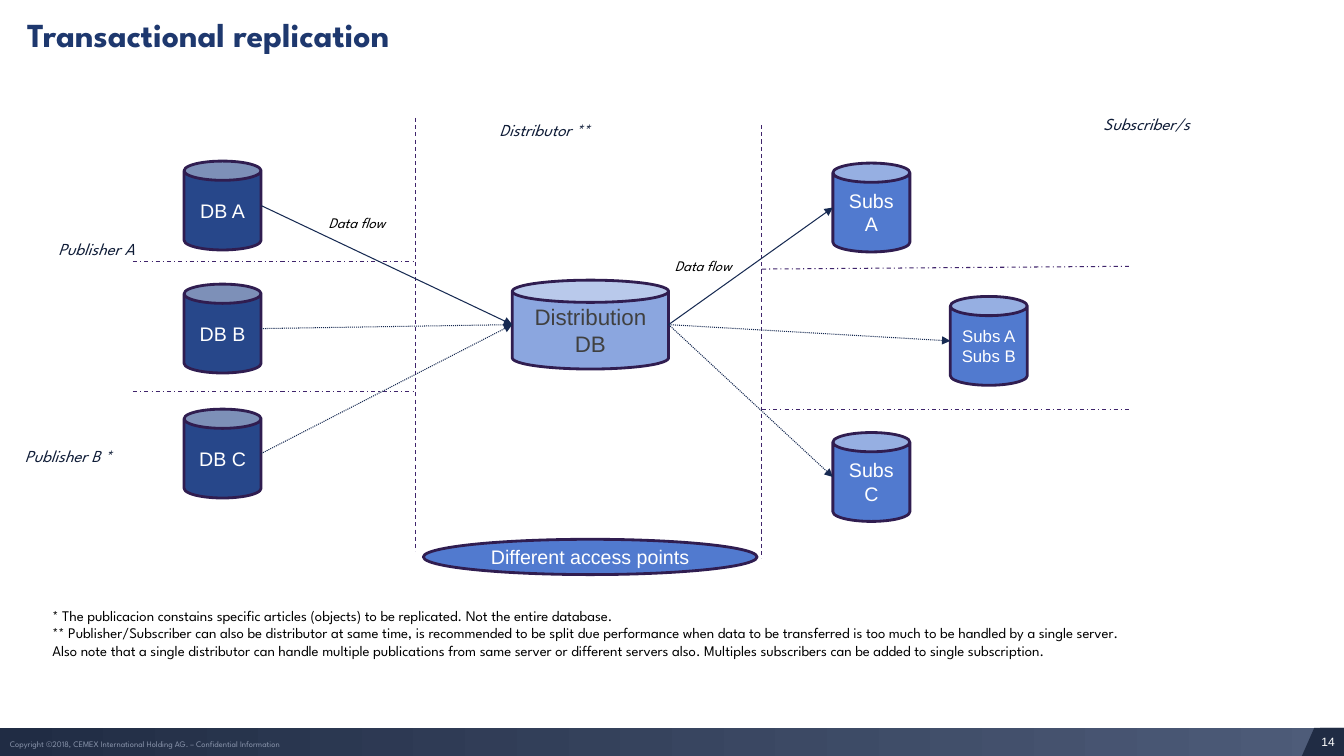
from lxml.etree import SubElement
from pptx import Presentation
from pptx.dml.color import RGBColor
from pptx.enum.dml import MSO_LINE
from pptx.enum.shapes import MSO_CONNECTOR, MSO_SHAPE
from pptx.enum.text import MSO_ANCHOR, PP_ALIGN
from pptx.oxml.ns import qn
from pptx.util import Cm, Pt

WHITE = RGBColor(0xFF, 0xFF, 0xFF)
BLACK = RGBColor(0x00, 0x00, 0x00)
GREY = RGBColor(0x40, 0x40, 0x40)
PALE = RGBColor(0x8A, 0x95, 0xAC)
DARK = RGBColor(0x20, 0x2C, 0x44)
SLATE = RGBColor(0x4E, 0x5C, 0x79)
TITLE = RGBColor(0x1E, 0x38, 0x6E)
LABEL = RGBColor(0x0F, 0x1C, 0x37)
NAVY = RGBColor(0x27, 0x47, 0x8A)
BLUE = RGBColor(0x51, 0x7A, 0xCF)
LIGHT = RGBColor(0x8B, 0xA6, 0xDF)
EDGE = RGBColor(0x30, 0x1D, 0x50)
SPLIT = RGBColor(0x3F, 0x24, 0x6B)
FLOW = RGBColor(0x17, 0x2A, 0x52)


def write(shape, text, size, color, face="League Spartan", bold=False,
          slant=False, align=PP_ALIGN.LEFT, anchor=MSO_ANCHOR.TOP):
    frame = shape.text_frame
    frame.word_wrap = True
    frame.vertical_anchor = anchor
    para = frame.paragraphs[0]
    para.text = text
    para.alignment = align
    for run in para.runs:
        font = run.font
        font.name, font.size, font.color.rgb = face, Pt(size), color
        font.bold, font.italic = bold, slant


def draw(x1, y1, x2, y2, color, dash=None):
    line = shapes.add_connector(MSO_CONNECTOR.STRAIGHT, x1, y1, x2, y2)
    line.line.width = Pt(0.75)
    line.line.color.rgb = color
    if dash:
        line.line.dash_style = dash
    SubElement(line._element.spPr, qn("a:effectLst"))
    return line


deck = Presentation()
deck.slide_width, deck.slide_height = Cm(33.87), Cm(19.05)
slide = deck.slides.add_slide(deck.slide_layouts[5])
shapes = slide.shapes

title = shapes.title
title.left, title.top, title.width, title.height = Cm(0.43), Cm(0.23), Cm(32), Cm(1.57)
write(title, "Transactional replication", 24, TITLE, bold=True)

for kind, left, width in [
    (MSO_SHAPE.RECTANGLE, 0, 33.87),
    (MSO_SHAPE.PARALLELOGRAM, 32.81, 1.06),
    (MSO_SHAPE.RECTANGLE, 33.27, 0.6),
]:
    bar = shapes.add_shape(kind, Cm(left), Cm(18.34), Cm(width), Cm(0.71))
    bar.shadow.inherit = False
    bar.line.fill.background()
    if left == 0:
        bar.fill.gradient()
        bar.fill.gradient_angle = 0
        for stop, color in zip(bar.fill.gradient_stops, (DARK, SLATE)):
            stop.color.rgb = color
    else:
        bar.fill.solid()
        bar.fill.fore_color.rgb = DARK
    if kind == MSO_SHAPE.PARALLELOGRAM:
        bar.adjustments[0] = 0.44

page = shapes.add_textbox(Cm(33.08), Cm(18.39), Cm(0.78), Cm(0.64))
page.text_frame.margin_left = page.text_frame.margin_right = 0
write(page, "14", 8.6, WHITE, face="Arial", align=PP_ALIGN.CENTER)

notes = """* The publicacion constains specific articles (objects) to be replicated. Not the entire database.
** Publisher/Subscriber can also be distributor at same time, is recommended to be split due performance when data to be transferred is too much to be handled by a single server.
Also note that a single distributor can handle multiple publications from same server or different servers also. Multiples subscribers can be added to single subscription."""
rights = "Copyright ©2018, CEMEX International Holding AG. – Confidential Information"

for text, left, top, width, height, size, color, slant in [
    (rights, 0, 18.49, 13.59, 0.51, 6, PALE, False),
    (notes, 1.07, 15.16, 31.75, 2.06, 10.5, BLACK, False),
    ("Publisher A", 1.22, 5.89, 2.74, 0.76, 12, LABEL, True),
    ("Publisher B *", 0.38, 11.1, 2.97, 0.76, 12, LABEL, True),
    ("Distributor **", 12.34, 2.9, 3.02, 0.76, 12, LABEL, True),
    ("Subscriber/s", 27.56, 2.74, 2.97, 0.76, 12, LABEL, True),
    ("Data flow", 8.03, 5.26, 2.36, 0.74, 10.5, BLACK, True),
    ("Data flow", 16.76, 6.35, 2.36, 0.74, 10.5, BLACK, True),
]:
    box = shapes.add_textbox(Cm(left), Cm(top), Cm(width), Cm(height))
    write(box, text, size, color, slant=slant)

for x1, y1, x2, y2, dash in [
    (10.46, 2.97, 10.46, 13.89, MSO_LINE.DASH),
    (19.2, 3.15, 19.2, 14.07, MSO_LINE.DASH),
    (3.35, 6.58, 10.46, 6.58, MSO_LINE.DASH_DOT),
    (3.35, 9.86, 10.46, 9.86, MSO_LINE.DASH_DOT),
    (19.2, 6.78, 28.45, 6.71, MSO_LINE.DASH_DOT),
    (19.2, 10.31, 28.45, 10.31, MSO_LINE.DASH_DOT),
]:
    draw(Cm(x1), Cm(y1), Cm(x2), Cm(y2), SPLIT, dash)

CAN, OVAL = MSO_SHAPE.CAN, MSO_SHAPE.OVAL
nodes = {}
for text, kind, left, top, width, height, fill, size, color in [
    ("DB A", CAN, 4.64, 4.06, 1.94, 2.24, NAVY, 14, WHITE),
    ("DB B", CAN, 4.64, 7.16, 1.94, 2.24, NAVY, 14, WHITE),
    ("DB C", CAN, 4.64, 10.31, 1.94, 2.24, NAVY, 14, WHITE),
    ("Distribution DB", CAN, 12.91, 7.06, 3.94, 2.24, LIGHT, 16, GREY),
    ("Subs A", CAN, 20.99, 4.11, 1.94, 2.24, BLUE, 14, WHITE),
    ("Subs A\nSubs B", CAN, 23.95, 7.47, 1.94, 2.24, BLUE, 12, WHITE),
    ("Subs C", CAN, 20.99, 10.9, 1.94, 2.24, BLUE, 14, WHITE),
    ("Different access points", OVAL, 10.67, 13.59, 8.41, 0.89, BLUE, 14, WHITE),
]:
    node = shapes.add_shape(kind, Cm(left), Cm(top), Cm(width), Cm(height))
    node.shadow.inherit = False
    node.fill.solid()
    node.fill.fore_color.rgb = fill
    node.line.color.rgb = EDGE
    node.line.width = Pt(2)
    write(node, text, size, color, face="Arial",
          align=PP_ALIGN.CENTER, anchor=MSO_ANCHOR.MIDDLE)
    nodes[text] = node

HUB = "Distribution DB"
for start, end, dash in [
    ("DB A", HUB, None),
    ("DB B", HUB, MSO_LINE.ROUND_DOT),
    ("DB C", HUB, MSO_LINE.ROUND_DOT),
    (HUB, "Subs A", None),
    (HUB, "Subs A\nSubs B", MSO_LINE.ROUND_DOT),
    (HUB, "Subs C", MSO_LINE.ROUND_DOT),
]:
    src, dest = nodes[start], nodes[end]
    flow = draw(src.left + src.width, src.top + src.height // 2,
                dest.left, dest.top + dest.height // 2, FLOW, dash)
    SubElement(flow._element.spPr.find(qn("a:ln")), qn("a:tailEnd"), type="triangle")
    joint = flow._element.find(".//" + qn("p:cNvCxnSpPr"))
    SubElement(joint, qn("a:stCxn"), id=str(src.shape_id), idx="4")
    SubElement(joint, qn("a:endCxn"), id=str(dest.shape_id), idx="2")

deck.save("out.pptx")
